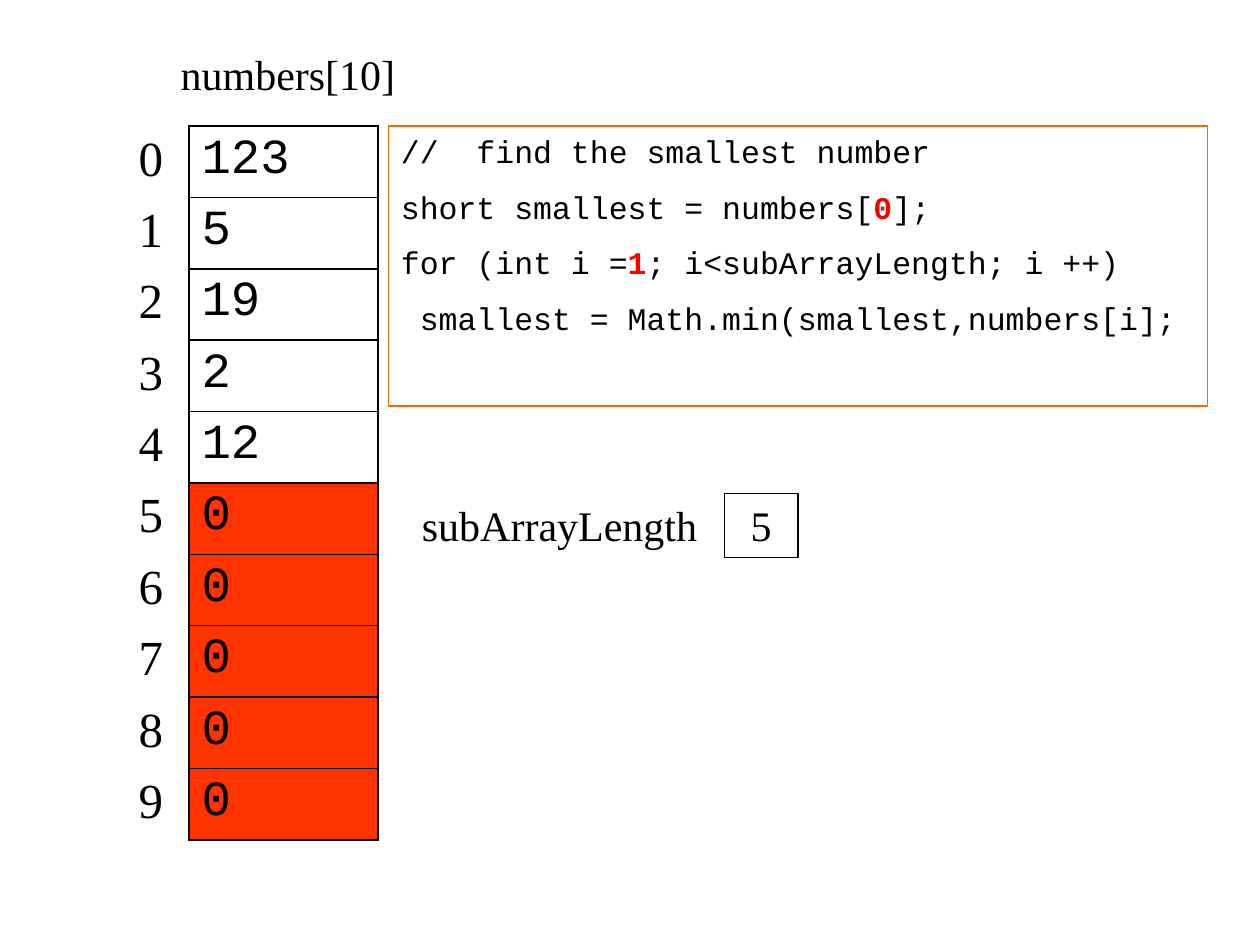
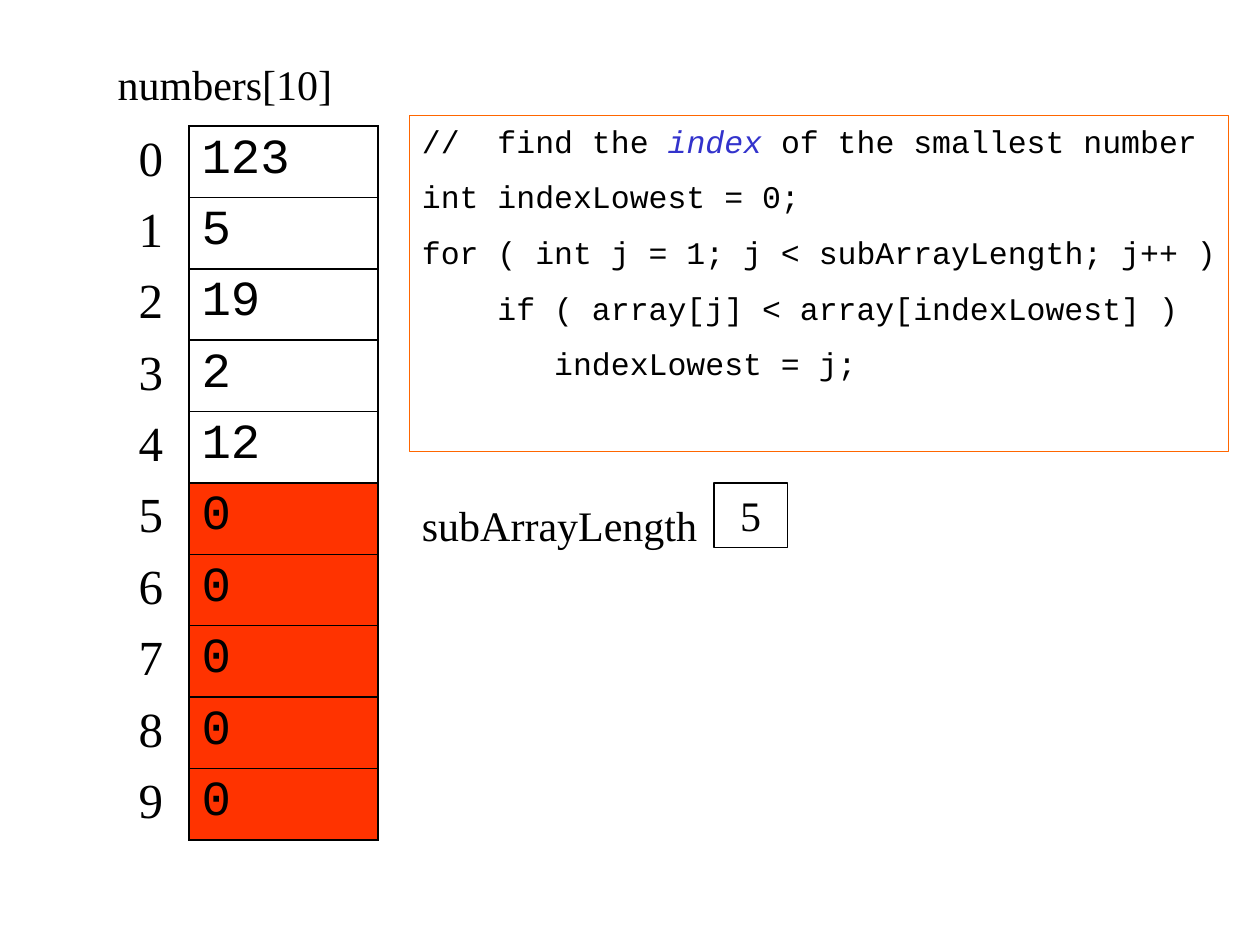
from dataclasses import dataclass

from lxml import etree
from pptx import Presentation
from pptx.dml.color import RGBColor
from pptx.enum.shapes import MSO_SHAPE
from pptx.enum.text import MSO_ANCHOR, MSO_AUTO_SIZE, PP_ALIGN
from pptx.oxml.ns import qn
from pptx.util import Inches, Pt

RECTANGLE = MSO_SHAPE.RECTANGLE
LEFT, CENTER = PP_ALIGN.LEFT, PP_ALIGN.CENTER
TOP = MSO_ANCHOR.TOP
NO_AUTOFIT = MSO_AUTO_SIZE.NONE
TITLE_ONLY = 5
PLAIN_TABLE_STYLE = "{2D5ABB26-0587-4C30-8999-92F81FD0307C}"

# The slide is a grid of 120 columns by 90 rows, twelve to the inch
UNIT = Inches(1) / 12


@dataclass(frozen=True)
class Theme:
    ink: str = "000000"
    unused: str = "FF3300"
    frame: str = "FF6600"
    strong: str = "FF0000"
    accent: str = "3333CC"
    serif: str = "Times New Roman"
    mono: str = "Courier New"
    label_size: float = 24
    cell_size: float = 28
    code_size: float = 18
    code_gap: float = 10.2
    code_char: float = 10.8
    box_line: float = 0.75
    cell_line: float = 1


THEME = Theme()
LABEL = {"name": THEME.serif, "size": Pt(THEME.label_size)}
INDEX = {"name": THEME.serif, "size": Pt(THEME.cell_size)}
VALUE = {"name": THEME.mono, "size": Pt(THEME.cell_size)}
CODE = {"name": THEME.mono, "size": Pt(THEME.code_size)}
STRONG = {"color": THEME.strong, "bold": True}
ACCENT = {"color": THEME.accent, "italic": True}

NUMBERS = [123, 5, 19, 2, 12, 0, 0, 0, 0, 0]
USED_LENGTH = 5
TABLE_BOX = (12, 12, 24, 68)
LENGTH_LABEL_BOX = (39, 47, 31, 6)

# Each code line is an indent in characters and its (text, format) spans
PAGES = [
    {
        "title_box": (16, 4, 26, 6),
        "length_box": (69, 47, 7, 6.13),
        "code_box": (37, 12, 78, 26.67),
        "code": [
            (0, [("//  find the smallest number", {})]),
            (0, [("short smallest = numbers[", {}), ("0", STRONG), ("];", {})]),
            (0, [("for (int i =", {}), ("1", STRONG),
                 ("; i<subArrayLength; i ++)", {})]),
            (1, [("smallest = Math.min(smallest,numbers[i];", {})]),
        ],
    },
    {
        "title_box": (10, 5, 26, 6),
        "length_box": (68, 46, 7, 6.13),
        "code_box": (39, 11, 78, 32),
        "code": [
            (0, [("//  find the ", {}), ("index", ACCENT),
                 (" of the smallest number", {})]),
            (0, [("int indexLowest = 0;", {})]),
            (0, [("for ( int j = 1; j < subArrayLength; j++ )", {})]),
            (4, [("if ( array[j] < array[indexLowest] )", {})]),
            (7, [("indexLowest = j;", {})]),
        ],
    },
]


def place(box):
    """Turn a box in grid units into slide lengths."""
    return [round(length * UNIT) for length in box]


def add_span(para, text, style):
    span = para.add_run()
    span.text = text
    for key, value in style.items():
        if key != "color":
            setattr(span.font, key, value)
    span.font.color.rgb = RGBColor.from_string(style.get("color", THEME.ink))


def set_frame(frame):
    settings = {"word_wrap": True, "auto_size": NO_AUTOFIT, "vertical_anchor": TOP}
    for key, value in settings.items():
        setattr(frame, key, value)


def write_label(shape, text, align=LEFT):
    set_frame(shape.text_frame)
    para = shape.text_frame.paragraphs[0]
    para.alignment = align
    add_span(para, text, LABEL)


def add_outlined_box(page, box, color):
    shape = page.shapes.add_shape(RECTANGLE, *place(box))
    shape.shadow.inherit = False
    shape.fill.background()
    shape.line.color.rgb = RGBColor.from_string(color)
    shape.line.width = Pt(THEME.box_line)
    return shape


def add_cell_borders(cell):
    properties = cell._tc.get_or_add_tcPr()
    for side in ("a:lnL", "a:lnR", "a:lnT", "a:lnB"):
        line = etree.SubElement(properties, qn(side), w=str(Pt(THEME.cell_line)))
        fill = etree.SubElement(line, qn("a:solidFill"))
        etree.SubElement(fill, qn("a:srgbClr"), val=THEME.ink)


# Array contents with their indexes
def add_array_table(page, box):
    left, top, width, height = place(box)
    table = page.shapes.add_table(len(NUMBERS), 2, left, top, width, height).table
    table._tbl.tblPr.find(qn("a:tableStyleId")).text = PLAIN_TABLE_STYLE
    table.first_row = table.horz_banding = False
    for column, share in zip(table.columns, (0.25, 0.75)):
        column.width = round(width * share)
    for index, number in enumerate(NUMBERS):
        table.rows[index].height = round(height / len(NUMBERS))
        index_cell, value_cell = table.rows[index].cells
        add_span(index_cell.text_frame.paragraphs[0], str(index), INDEX)
        add_span(value_cell.text_frame.paragraphs[0], str(number), VALUE)
        add_cell_borders(value_cell)
        index_cell.fill.background()
        if index < USED_LENGTH:
            value_cell.fill.background()
        else:
            value_cell.fill.solid()
            value_cell.fill.fore_color.rgb = RGBColor.from_string(THEME.unused)


# Array name above the table
def add_array_title(page, box):
    title = page.shapes.title
    title.left, title.top, title.width, title.height = place(box)
    write_label(title, f"numbers[{len(NUMBERS)}]")


# Variable name and its value
def add_length_variable(page, label_box, value_box):
    label = page.shapes.add_textbox(*place(label_box))
    write_label(label, "subArrayLength")
    value = add_outlined_box(page, value_box, THEME.ink)
    write_label(value, str(USED_LENGTH), CENTER)


# Framed code listing
def add_code(page, box, lines):
    frame = add_outlined_box(page, box, THEME.frame).text_frame
    set_frame(frame)
    frame.margin_right = 0
    for number, (indent, spans) in enumerate(lines):
        para = frame.add_paragraph() if number else frame.paragraphs[0]
        para.alignment = LEFT
        if number:
            para.space_before = Pt(THEME.code_gap)
        para._p.get_or_add_pPr().set("marL", str(Pt(THEME.code_char * indent)))
        for text, style in spans:
            add_span(para, text, CODE | style)


def add_array_page(deck, content):
    page = deck.slides.add_slide(deck.slide_layouts[TITLE_ONLY])
    add_array_table(page, TABLE_BOX)
    add_array_title(page, content["title_box"])
    add_length_variable(page, LENGTH_LABEL_BOX, content["length_box"])
    add_code(page, content["code_box"], content["code"])


def main():
    deck = Presentation()
    deck.slide_width, deck.slide_height = place((120, 90))
    for content in PAGES:
        add_array_page(deck, content)
    deck.save("out.pptx")


if __name__ == "__main__":
    main()
